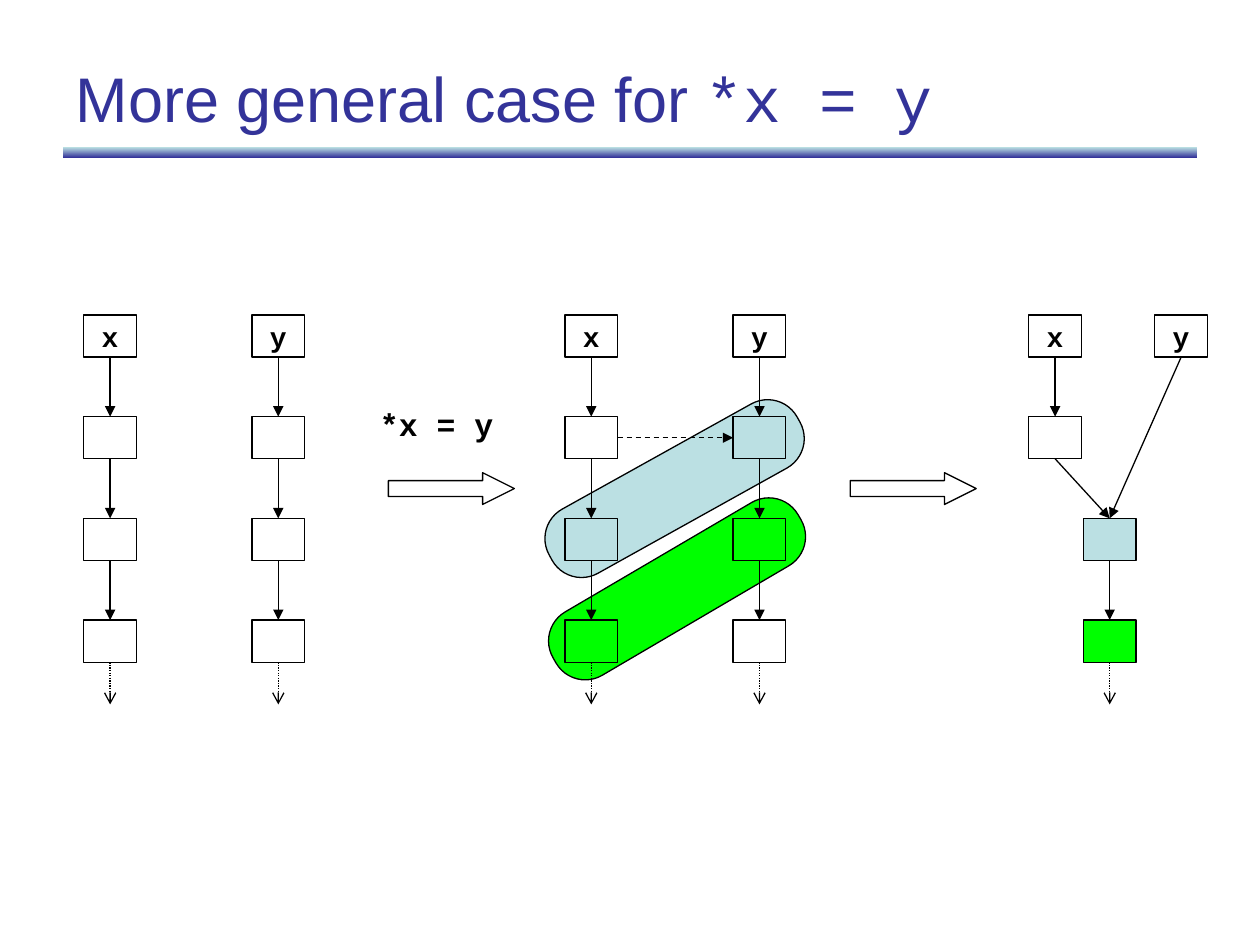
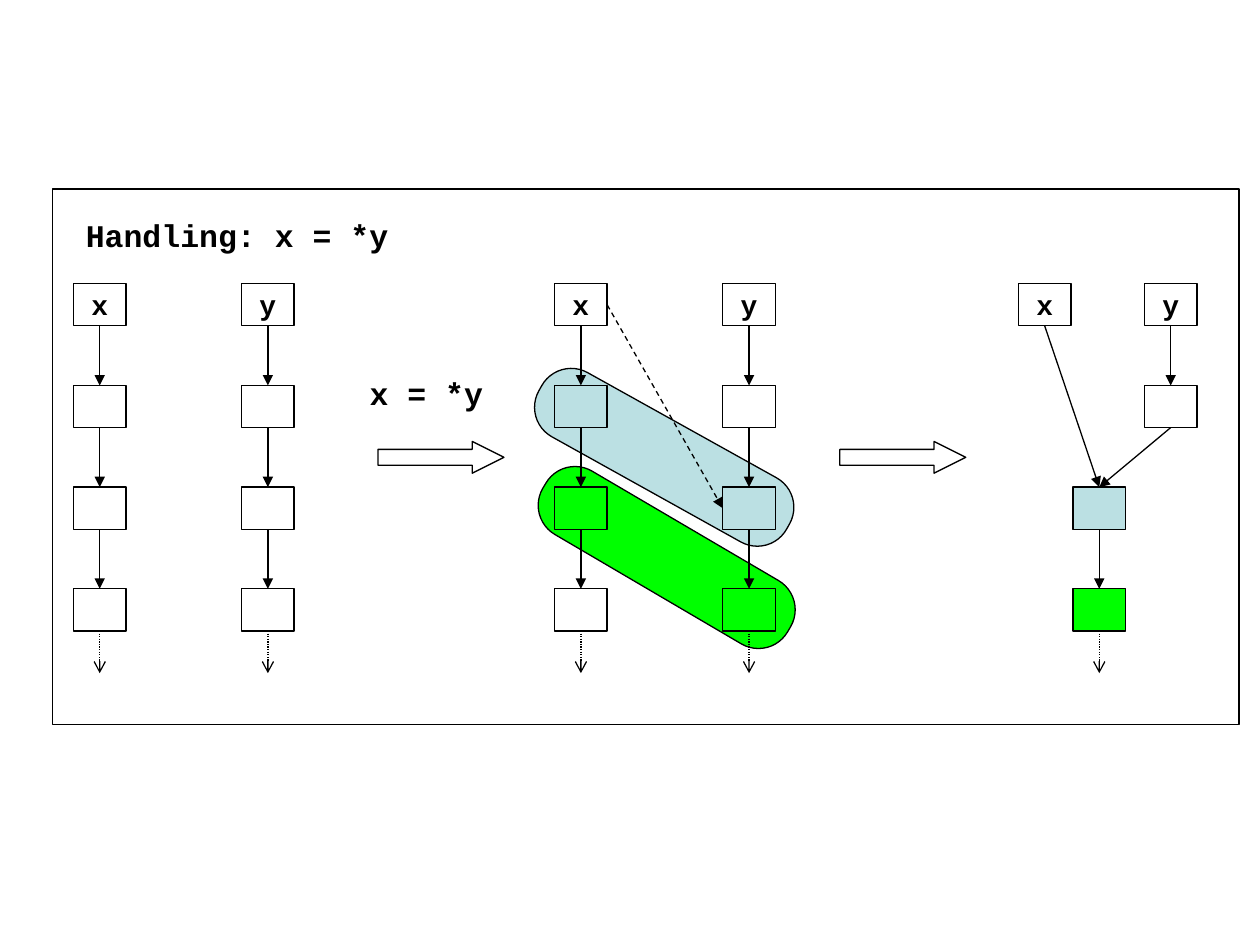
from lxml import etree
from pptx import Presentation, util as u
from pptx.dml.color import RGBColor
from pptx.enum import dml, shapes, text
from pptx.oxml import ns

COLORS = {"ink": "000000", "title": "333399", "blue": "BBE0E3", "green": "00FF00"}
SANS, MONO = "Arial", "Courier New"
BOX_WIDTH, BOX_HEIGHT, ROW_PITCH = 1.06, 0.85, 2.05
COLUMN_GAP, MIDDLE, RESULT, MERGED, RESULT_GAP = 3.39, 9.7, 19.05, 20.15, 2.54
TOP, LEFT, BOTTOM, RIGHT = range(4)


def color(name):
    return RGBColor.from_string(COLORS[name])


def add_run(paragraph, content, size, font, ink="ink", bold=False):
    run = paragraph.add_run()
    run.text = content
    run.font.size = u.Pt(size)
    run.font.name = font
    run.font.bold = bold
    run.font.color.rgb = color(ink)


def add_title(slide, parts):
    title = slide.shapes.title
    title.left, title.top, title.width, title.height = map(u.Cm, (1.27, 0.76, 22.86, 2.41))
    title.text_frame.vertical_anchor = text.MSO_ANCHOR.MIDDLE
    paragraph = title.text_frame.paragraphs[0]
    paragraph.alignment = text.PP_ALIGN.LEFT
    for content, font in parts:
        add_run(paragraph, content, 36, font, "title")


def add_band(slide):
    band = slide.shapes.add_shape(shapes.MSO_SHAPE.RECTANGLE, *map(u.Cm, (1.27, 2.97, 22.86, 0.21)))
    band.shadow.inherit = False
    band.line.fill.background()
    band.fill.gradient()
    band.fill.gradient_angle = 270
    for stop, position, name in zip(band.fill.gradient_stops, (0, 1), ("blue", "title")):
        stop.position = position
        stop.color.rgb = color(name)


def add_outline(slide, kind, left, top, width, height, fill=None):
    shape = slide.shapes.add_shape(kind, *map(u.Cm, (left, top, width, height)))
    shape.shadow.inherit = False
    shape.line.color.rgb = color("ink")
    shape.line.width = u.Pt(0.75)
    if fill:
        shape.fill.solid()
        shape.fill.fore_color.rgb = color(fill)
    else:
        shape.fill.background()
    return shape


def add_caption(slide, content, left, top, width):
    caption = slide.shapes.add_textbox(*map(u.Cm, (left, top, width, 1.02)))
    caption.text_frame.word_wrap = False
    add_run(caption.text_frame.paragraphs[0], content, 18, MONO, bold=True)


def add_link(slide, start, end, start_side=BOTTOM, end_side=TOP, dash=None, head="triangle"):
    link = slide.shapes.add_connector(shapes.MSO_CONNECTOR.STRAIGHT, 0, 0, 0, 0)
    link.begin_connect(start, start_side)
    if end is None:
        link.end_x, link.end_y = link.begin_x, link.begin_y + u.Cm(0.85)
    else:
        link.end_connect(end, end_side)
    link.line.color.rgb = color("ink")
    link.line.width = u.Pt(0.75)
    if dash:
        link.line.dash_style = dash
    etree.SubElement(link.line._get_or_add_ln(), ns.qn("a:tailEnd"), type=head)
    etree.SubElement(link._element.spPr, ns.qn("a:effectLst"))


def add_continuation(slide, box):
    add_link(slide, box, None, dash=dml.MSO_LINE.ROUND_DOT, head="arrow")


def add_chain(slide, left, top, rows, name="", fills=()):
    boxes = []
    for row in rows:
        fill = fills[len(boxes)] if fills else None
        box = add_outline(slide, shapes.MSO_SHAPE.RECTANGLE, left, top + row * ROW_PITCH,
                          BOX_WIDTH, BOX_HEIGHT, fill)
        if boxes:
            add_link(slide, boxes[-1], box)
        elif name:
            box.text_frame.word_wrap = False
            paragraph = box.text_frame.paragraphs[0]
            paragraph.alignment = text.PP_ALIGN.CENTER
            add_run(paragraph, name, 16, MONO, bold=True)
        boxes.append(box)
    return boxes


def add_pair(slide, left, top):
    chains = [add_chain(slide, left + index * COLUMN_GAP, top, range(4), name)
              for index, name in enumerate("xy")]
    for chain in chains:
        add_continuation(slide, chain[-1])
    return chains


def add_unification(slide, left, top, statement, tilt, dashed_rows, result_depths):
    for x, y, angle, fill in ((9.1, 4.78, 30.4, "green"), (9.05, 2.76, 29.1, "blue")):
        pill = add_outline(slide, shapes.MSO_SHAPE.ROUNDED_RECTANGLE, left + x, top + y, 5.72, 1.48, fill)
        pill.adjustments[0] = 0.46
        pill.rotation = tilt * angle

    add_caption(slide, statement, left + 5.72, top + 1.7, 2.79)
    for x in (6.14, 15.45):
        arrow = add_outline(slide, shapes.MSO_SHAPE.RIGHT_ARROW, left + x, top + 3.18, 2.54, 0.64)
        arrow.adjustments[1] = 1

    add_pair(slide, left, top)
    x_chain, y_chain = add_pair(slide, left + MIDDLE, top)
    x_row, y_row = dashed_rows
    add_link(slide, x_chain[x_row], y_chain[y_row], RIGHT, LEFT, dml.MSO_LINE.DASH)

    merged = add_chain(slide, left + MERGED, top, (2, 3), fills=("blue", "green"))
    add_continuation(slide, merged[-1])
    for index, (name, depth) in enumerate(zip("xy", result_depths)):
        chain = add_chain(slide, left + RESULT + index * RESULT_GAP, top, range(depth), name)
        add_link(slide, chain[-1], merged[0])


def main():
    presentation = Presentation()
    presentation.slide_width, presentation.slide_height = u.Cm(25.4), u.Cm(19.05)
    title_only, blank = presentation.slide_layouts[5], presentation.slide_layouts[6]

    store_slide = presentation.slides.add_slide(title_only)
    add_band(store_slide)
    add_title(store_slide, (("More general case for ", SANS), ("*x = y", MONO)))
    add_unification(store_slide, 1.69, 6.35, "*x = y", -1, (1, 1), (2, 1))

    load_slide = presentation.slides.add_slide(blank)
    add_unification(load_slide, 1.48, 5.72, "x = *y", 1, (0, 2), (1, 2))
    add_caption(load_slide, "Handling: x = *y", 1.48, 4.23, 6.6)
    add_outline(load_slide, shapes.MSO_SHAPE.RECTANGLE, 1.06, 3.81, 23.92, 10.8)

    presentation.save("out.pptx")


if __name__ == "__main__":
    main()
